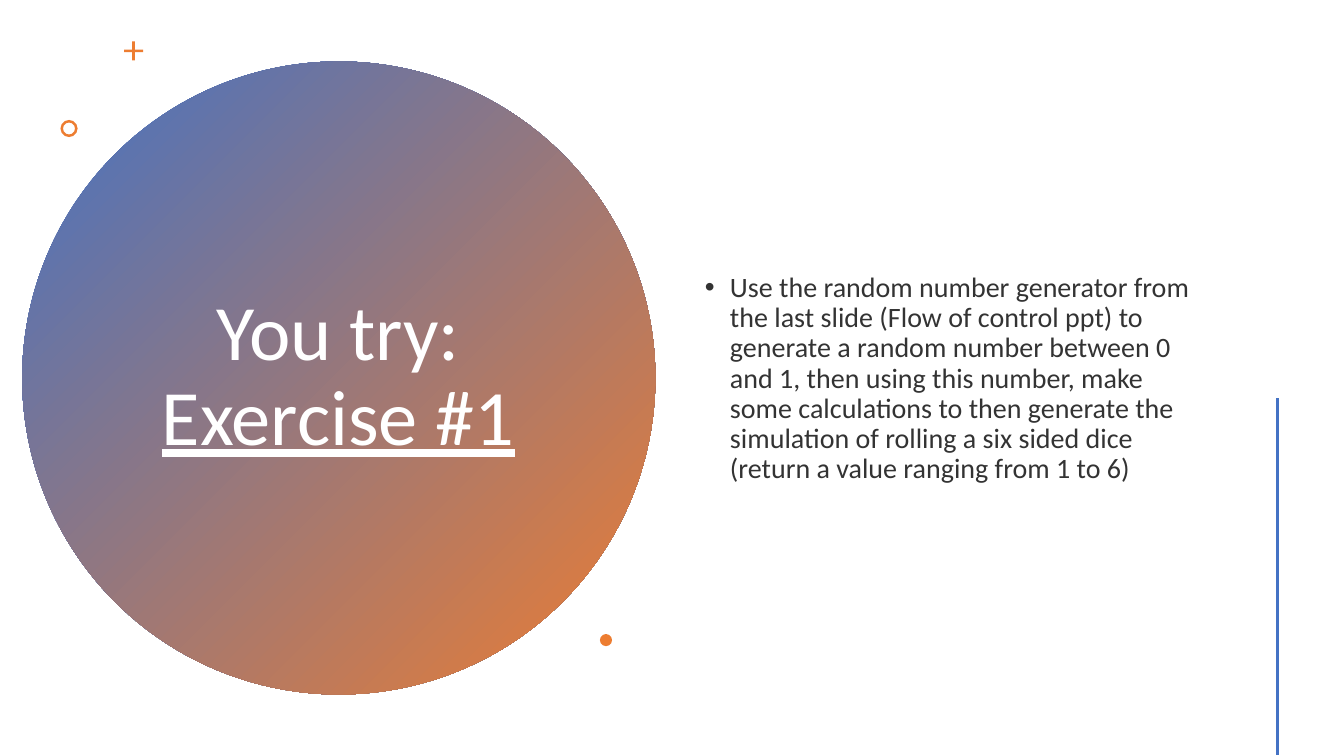
from typing import NamedTuple

from lxml import etree
from pptx import Presentation
from pptx import util as u
from pptx.dml import color as col
from pptx.enum import shapes as sh, text as tx
from pptx.oxml import ns

INK = {"blue": "4472C4", "orange": "ED7D31", "white": "FFFFFF", "grey": "333333"}
FONT = "Calibri"


class Box(NamedTuple):
    """Place and size in inches."""
    left: float
    top: float
    width: float
    height: float


class Mark(NamedTuple):
    """A small accent; adj is the shape's adjustment, if it has one."""
    kind: sh.MSO_SHAPE
    box: Box
    adj: float | None = None


MARKS = [
    Mark(sh.MSO_SHAPE.CROSS, Box(1.23, 0.41, 0.19, 0.19), 0.43),
    Mark(sh.MSO_SHAPE.DONUT, Box(0.6, 1.19, 0.17, 0.17), 0.15),
    Mark(sh.MSO_SHAPE.OVAL, Box(5.95, 6.29, 0.12, 0.12)),
]


def rgb(name: str) -> col.RGBColor:
    """Look up a colour by name."""
    return col.RGBColor.from_string(INK[name])


def add_mark(slide, mark: Mark):
    """Add a plain orange shape with no line or shadow."""
    shape = slide.shapes.add_shape(mark.kind, *map(u.Inches, mark.box))
    shape.shadow.inherit = False
    shape.line.fill.background()
    shape.fill.solid()
    shape.fill.fore_color.rgb = rgb("orange")
    if mark.adj is not None:
        shape.adjustments[0] = mark.adj
    return shape


def add_disc(slide, box: Box) -> None:
    """Add the blue to orange disc behind everything else."""
    disc = add_mark(slide, Mark(sh.MSO_SHAPE.OVAL, box))
    disc.fill.gradient()
    disc.fill.gradient_angle = 315
    for stop, name, pos in zip(disc.fill.gradient_stops, ("blue", "orange"), (0, 1)):
        stop.color.rgb = rgb(name)
        stop.position = pos
    slide.shapes._spTree.insert(2, disc._element)


def set_frame(holder, box: Box):
    """Move a placeholder, centre it vertically and return its paragraph."""
    holder.left, holder.top, holder.width, holder.height = map(u.Inches, box)
    frame = holder.text_frame
    frame.word_wrap = True
    frame.auto_size = tx.MSO_AUTO_SIZE.NONE
    frame.vertical_anchor = tx.MSO_ANCHOR.MIDDLE
    para = frame.paragraphs[0]
    para.line_spacing = 0.9
    return para


def add_run(para, words: str, size: int, name: str, under: bool = False) -> None:
    """Add one run of text."""
    run = para.add_run()
    run.text = words
    run.font.name, run.font.size = FONT, u.Pt(size)
    run.font.color.rgb = rgb(name)
    if under:
        run.font.underline = True


def add_rule(slide, x: float, top: float, end: float) -> None:
    """Add the upright blue line."""
    rule = slide.shapes.add_connector(
        sh.MSO_CONNECTOR.STRAIGHT, *map(u.Inches, (x, top, x, end)))
    rule.line.color.rgb = rgb("blue")
    rule.line.width = u.Pt(2)
    etree.SubElement(rule._element.spPr, ns.qn("a:effectLst"))


def main() -> None:
    """Build and save the slide."""
    deck = Presentation()
    deck.slide_width, deck.slide_height = u.Inches(13.33), u.Inches(7.5)
    slide = deck.slides.add_slide(deck.slide_layouts[1])
    add_disc(slide, Box(0.22, 0.61, 6.28, 6.28))

    title = set_frame(slide.shapes.title, Box(1.36, 1.41, 3.99, 4.67))
    title.alignment = tx.PP_ALIGN.CENTER
    add_run(title, "You try: ", 56, "white")
    add_run(title, "Exercise #1", 56, "white", under=True)

    task = set_frame(slide.placeholders[1], Box(6.89, 0.57, 5.22, 6.38))
    task.space_before = u.Pt(10)
    props = task._p.get_or_add_pPr()
    props.set("marL", str(u.Inches(0.25)))
    props.set("indent", str(u.Inches(-0.25)))
    add_run(task, "Use the random number generator from the last slide "
            "(Flow of control ppt) to generate a random number between 0 and 1, "
            "then using this number, make some calculations to then generate the "
            "simulation of rolling a six sided dice "
            "(return a value ranging from 1 to 6)", 20, "grey")

    for mark in MARKS:
        add_mark(slide, mark)
    add_rule(slide, 12.67, 3.95, 7.49)
    deck.save("out.pptx")


main()
